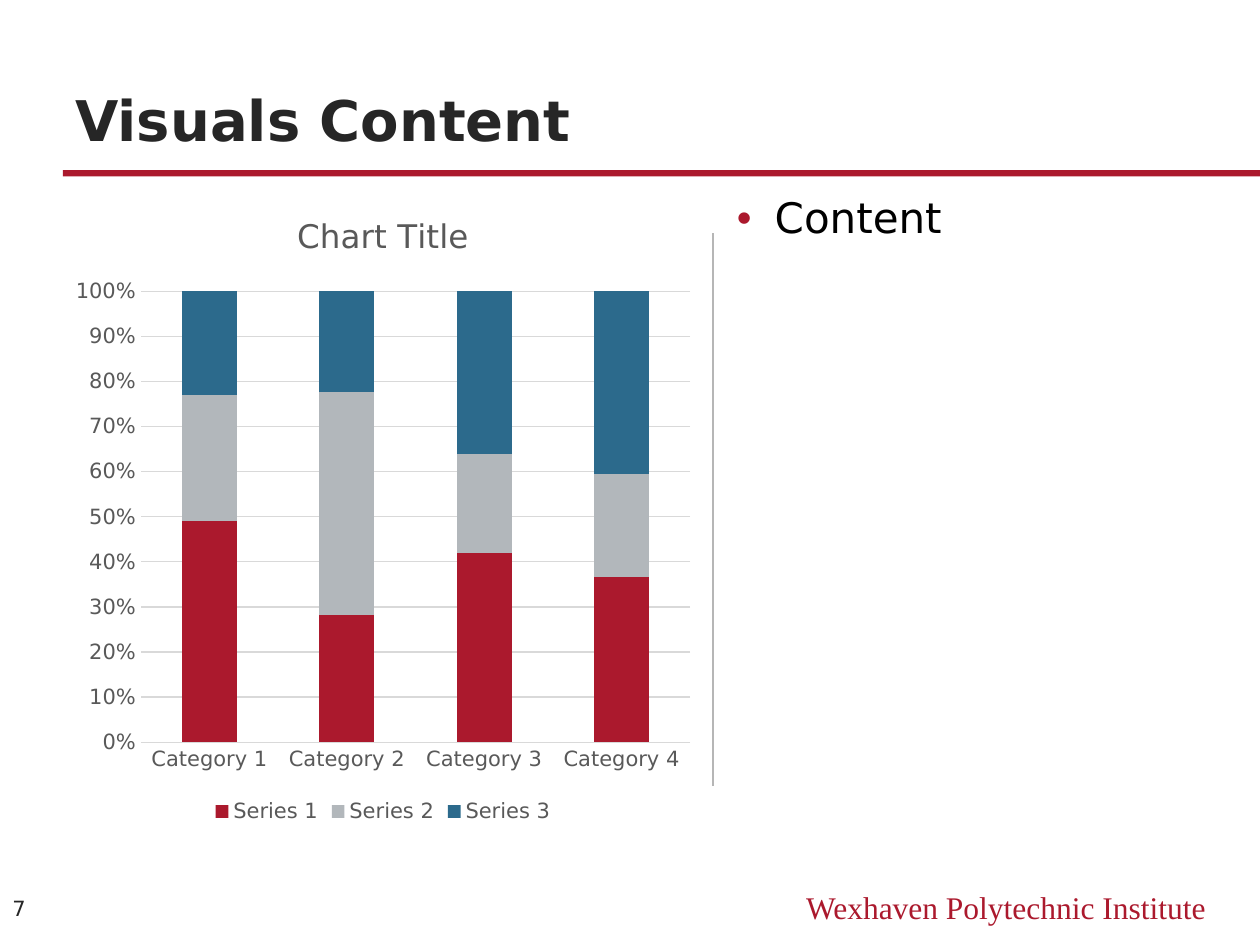
import pptx
import pptx.chart.data
import pptx.dml.color
import pptx.enum.chart
import pptx.enum.shapes
import pptx.enum.text
import pptx.oxml
import pptx.oxml.ns
import pptx.util

Inches = pptx.util.Inches
Pt = pptx.util.Pt
Align = pptx.enum.text.PP_ALIGN
Anchor = pptx.enum.text.MSO_ANCHOR
Tick = pptx.enum.chart.XL_TICK_MARK

COLORS = {
    "red": "AB192D", "silver": "B2B7BB", "blue": "2C6A8C", "rule": "B6B6B6",
    "grid": "D9D9D9", "label": "595959", "dark": "262626", "black": "000000",
}
SANS = "DejaVu Sans"
SERIF = "Times New Roman"


def tint(name):
    return pptx.dml.color.RGBColor.from_string(COLORS[name])


def style(font, size, color, face=SANS, bold=False):
    font.size, font.name, font.bold = Pt(size), face, bold
    font.color.rgb = tint(color)


def write(frame, text, align=Align.LEFT, **look):
    """Fill the first paragraph of a frame and return it."""
    para = frame.paragraphs[0]
    para.alignment = align
    run = para.add_run()
    run.text = text
    style(run.font, **look)
    return para


def bullet(para, color, indent):
    props = para._p.get_or_add_pPr()
    props.set("marL", str(Inches(indent)))
    props.set("indent", str(-Inches(indent)))
    space = pptx.oxml.ns.nsdecls("a")
    for xml in (
        f'<a:buClr {space}><a:srgbClr val="{COLORS[color]}"/></a:buClr>',
        f'<a:buFont {space} typeface="Arial"/>',
        f'<a:buChar {space} char="•"/>',
    ):
        props.append(pptx.oxml.parse_xml(xml))


class Page:
    """Holds the current slide and draws each kind of element on it."""

    def __init__(self, slide):
        self.slide = slide
        self.shapes = slide.shapes

    def bar(self, box, color):
        shape = self.shapes.add_shape(
            pptx.enum.shapes.MSO_SHAPE.RECTANGLE, *map(Inches, box))
        shape.shadow.inherit = False
        shape.fill.solid()
        shape.fill.fore_color.rgb = tint(color)
        shape.line.fill.background()

    def line(self, start, end, color, width):
        link = self.shapes.add_connector(
            pptx.enum.shapes.MSO_CONNECTOR.STRAIGHT,
            *map(Inches, start + end))
        link.line.color.rgb = tint(color)
        link.line.width = Pt(width)
        link._element.spPr.append(pptx.oxml.parse_xml(
            f'<a:effectLst {pptx.oxml.ns.nsdecls("a")}/>'))

    def text(self, box, text, anchor=Anchor.TOP, **look):
        frame = self.shapes.add_textbox(*map(Inches, box)).text_frame
        frame.word_wrap = True
        frame.vertical_anchor = anchor
        return write(frame, text, **look)

    def chart(self, box, title, cats, series):
        """Draw full-height stacked columns; series maps name to (color, values)."""
        data = pptx.chart.data.CategoryChartData(number_format="General")
        data.categories = cats
        for name, (_, values) in series.items():
            data.add_series(name, values)
        chart = self.shapes.add_chart(
            pptx.enum.chart.XL_CHART_TYPE.COLUMN_STACKED_100,
            *map(Inches, box), data).chart
        style(chart.font, 12, "label")

        chart.has_title = True
        write(chart.chart_title.text_frame, title, align=Align.CENTER,
              size=18.6, color="label")
        chart.chart_title.include_in_layout = False

        chart.has_legend = True
        chart.legend.position = pptx.enum.chart.XL_LEGEND_POSITION.BOTTOM
        chart.legend.include_in_layout = False
        style(chart.legend.font, 12, "label")

        plot = chart.plots[0]
        plot.gap_width, plot.overlap = 150, 100
        plot.vary_by_categories = False
        for item, (color, _) in zip(plot.series, series.values()):
            item.format.fill.solid()
            item.format.fill.fore_color.rgb = tint(color)

        axis = chart.value_axis
        for side in (chart.category_axis, axis):
            side.major_tick_mark = side.minor_tick_mark = Tick.NONE
            style(side.tick_labels.font, 12, "label")
        axis.minimum_scale, axis.maximum_scale, axis.major_unit = 0, 1, 0.1
        axis.tick_labels.number_format = "0%"
        axis.tick_labels.number_format_is_linked = False
        axis.format.line.fill.background()
        axis.has_major_gridlines = True
        for line in (chart.category_axis.format.line,
                     axis.major_gridlines.format.line):
            line.color.rgb = tint("grid")
            line.width = Pt(0.75)


def main():
    deck = pptx.Presentation()
    deck.slide_width, deck.slide_height = Inches(10), Inches(7.5)
    page = Page(deck.slides.add_slide(deck.slide_layouts[6]))

    page.bar((0.5, 1.35, 9.5, 0.05), "red")
    page.text((6, 7, 3.67, 0.4), "Wexhaven Polytechnic Institute",
              align=Align.RIGHT, size=18, color="red", face=SERIF)
    page.line((5.66, 1.85), (5.66, 6.24), "rule", 1.25)
    page.text((0.5, 0.38, 9, 0.88), "Visuals Content", anchor=Anchor.BOTTOM,
              size=32, color="dark", bold=True)

    para = page.text((5.75, 1.5, 3.75, 5.08), "Content",
                     size=24, color="black")
    para.line_spacing = 0.95
    para.space_before = Pt(12)
    bullet(para, "red", 0.3)

    page.text((0, 6.99, 0.5, 0.43), "7", anchor=Anchor.MIDDLE,
              size=12, color="dark")
    page.chart(
        (0.5, 1.5, 5.08, 5.08), "Chart Title",
        [f"Category {n}" for n in range(1, 5)],
        {
            "Series 1": ("red", (49, 28, 42, 37)),
            "Series 2": ("silver", (28, 49, 22, 23)),
            "Series 3": ("blue", (23, 22, 36, 41)),
        })
    deck.save("out.pptx")


if __name__ == "__main__":
    main()
